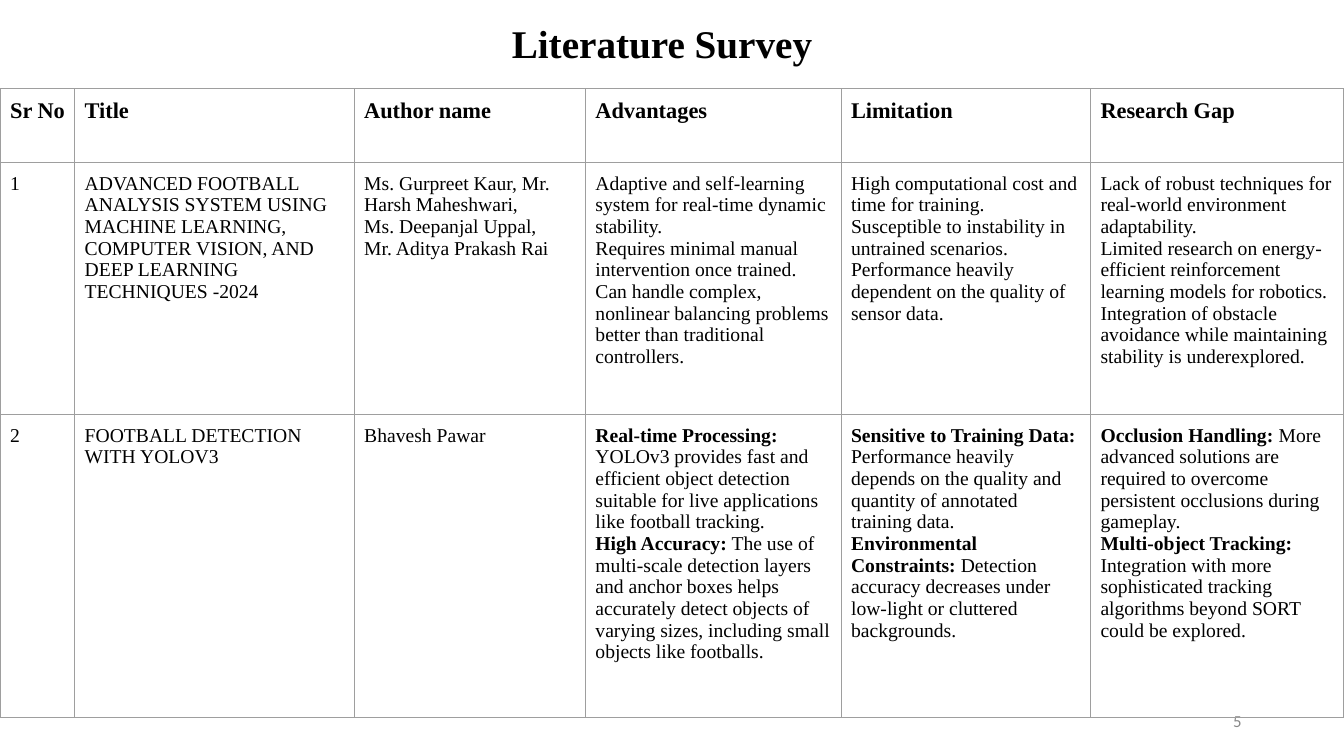
import dataclasses

import lxml.etree
import pptx
import pptx.dml.color
import pptx.enum.text
import pptx.oxml.ns
import pptx.util

Pt = pptx.util.Pt


@dataclasses.dataclass(frozen=True)
class Theme:
    serif: str = "Times New Roman"
    sans: str = "Calibri"
    ink: str = "000000"
    muted: str = "888888"
    rule: str = "9E9E9E"
    title_size: float = 28
    header_size: float = 16
    body_size: float = 14
    number_size: float = 12
    rule_width: float = 0.75
    inset: float = 7.2
    tight_inset: float = 5


class SlideBuilder:
    def __init__(self, page, theme):
        self.page = page
        self.theme = theme

    def style_font(self, font, name, size, color, bold=None):
        font.name = name
        font.size = Pt(size)
        font.color.rgb = pptx.dml.color.RGBColor.from_string(color)
        font.bold = bold

    def text(self, frame, words, name, size, color, bold=False):
        para = frame.paragraphs[0]
        para.text = words
        self.style_font(para.font, name, size, color, bold)
        return para

    def title(self, words, left, top, width, height):
        box = self.page.shapes.add_textbox(Pt(left), Pt(top), Pt(width), Pt(height))
        frame = box.text_frame
        frame.word_wrap = False
        frame.margin_top = frame.margin_bottom = Pt(self.theme.inset)
        self.text(frame, words, self.theme.serif, self.theme.title_size, self.theme.ink, True)

    def page_number(self, words, left, top, width, height):
        box = self.page.shapes.add_textbox(Pt(left), Pt(top), Pt(width), Pt(height))
        frame = box.text_frame
        frame.word_wrap = True
        frame.vertical_anchor = pptx.enum.text.MSO_ANCHOR.MIDDLE
        para = self.text(frame, words, self.theme.sans, self.theme.number_size, self.theme.muted)
        para.alignment = pptx.enum.text.PP_ALIGN.RIGHT

    def borders(self, cell):
        properties = cell._tc.get_or_add_tcPr()
        qn = pptx.oxml.ns.qn
        for side in ("a:lnL", "a:lnR", "a:lnT", "a:lnB"):
            line = lxml.etree.SubElement(properties, qn(side), w=str(Pt(self.theme.rule_width)))
            fill = lxml.etree.SubElement(line, qn("a:solidFill"))
            lxml.etree.SubElement(fill, qn("a:srgbClr"), val=self.theme.rule)

    def cell(self, cell, paragraphs, size, bold):
        self.borders(cell)
        cell.fill.background()
        cell.margin_left = cell.margin_right = Pt(self.theme.inset)
        cell.margin_top = cell.margin_bottom = Pt(self.theme.inset)
        frame = cell.text_frame
        for index, content in enumerate(paragraphs):
            para = frame.add_paragraph() if index else frame.paragraphs[0]
            self.style_font(para.font, self.theme.serif, size, self.theme.ink, bold)
            if isinstance(content, str):
                para.text = content
                continue
            lead, rest = content
            for words, strong in ((lead, True), (" " + rest, False)):
                span = para.add_run()
                span.text = words
                span.font.bold = strong

    def table(self, rows, left, top, widths, heights):
        table = self.page.shapes.add_table(
            len(rows), len(widths), Pt(left), Pt(top), Pt(sum(widths)), Pt(sum(heights))
        ).table
        table.first_row = table.horz_banding = False
        for column, width in zip(table.columns, widths):
            column.width = Pt(width)
        for row_index, (row, height) in enumerate(zip(rows, heights)):
            table.rows[row_index].height = Pt(height)
            header = row_index == 0
            size = self.theme.header_size if header else self.theme.body_size
            for column_index, paragraphs in enumerate(row):
                self.cell(table.cell(row_index, column_index), paragraphs, size, header)
            table.cell(row_index, 0).margin_right = Pt(self.theme.tight_inset)


HEADINGS = ["Sr No", "Title", "Author name", "Advantages", "Limitation", "Research Gap"]

SURVEY = [
    [[heading] for heading in HEADINGS],
    [
        ["1"],
        [
            "ADVANCED FOOTBALL ANALYSIS SYSTEM USING MACHINE LEARNING, "
            "COMPUTER VISION, AND DEEP LEARNING TECHNIQUES -2024"
        ],
        [
            "Ms. Gurpreet Kaur, Mr. Harsh Maheshwari,",
            "Ms. Deepanjal Uppal,",
            "Mr. Aditya Prakash Rai",
        ],
        [
            "Adaptive and self-learning system for real-time dynamic stability.",
            "Requires minimal manual intervention once trained.",
            "Can handle complex, nonlinear balancing problems better than traditional controllers.",
        ],
        [
            "High computational cost and time for training.",
            "Susceptible to instability in untrained scenarios.",
            "Performance heavily dependent on the quality of sensor data.",
        ],
        [
            "Lack of robust techniques for real-world environment adaptability.",
            "Limited research on energy-efficient reinforcement learning models for robotics.",
            "Integration of obstacle avoidance while maintaining stability is underexplored.",
        ],
    ],
    [
        ["2"],
        ["FOOTBALL DETECTION WITH YOLOV3"],
        ["Bhavesh Pawar"],
        [
            ("Real-time Processing:", "YOLOv3 provides fast and efficient object detection "
             "suitable for live applications like football tracking."),
            ("High Accuracy:", "The use of multi-scale detection layers and anchor boxes helps "
             "accurately detect objects of varying sizes, including small objects like footballs."),
        ],
        [
            ("Sensitive to Training Data:", "Performance heavily depends on the quality and "
             "quantity of annotated training data."),
            ("Environmental Constraints:", "Detection accuracy decreases under low-light or "
             "cluttered backgrounds."),
        ],
        [
            ("Occlusion Handling:", "More advanced solutions are required to overcome "
             "persistent occlusions during gameplay."),
            ("Multi-object Tracking:", "Integration with more sophisticated tracking "
             "algorithms beyond SORT could be explored."),
        ],
    ],
]


def main():
    deck = pptx.Presentation()
    deck.slide_width, deck.slide_height = Pt(960), Pt(540)
    page = deck.slides.add_slide(deck.slide_layouts[6])
    builder = SlideBuilder(page, Theme())
    builder.page_number("5", 678, 500.5, 216, 28.8)
    builder.title("Literature Survey", 358.5, 6.5, 242.6, 48.2)
    builder.table(
        SURVEY, 0, 63.2,
        widths=[53.3, 199.7, 165.2, 182.6, 178.2, 181],
        heights=[53, 180, 216],
    )
    deck.save("out.pptx")


if __name__ == "__main__":
    main()
